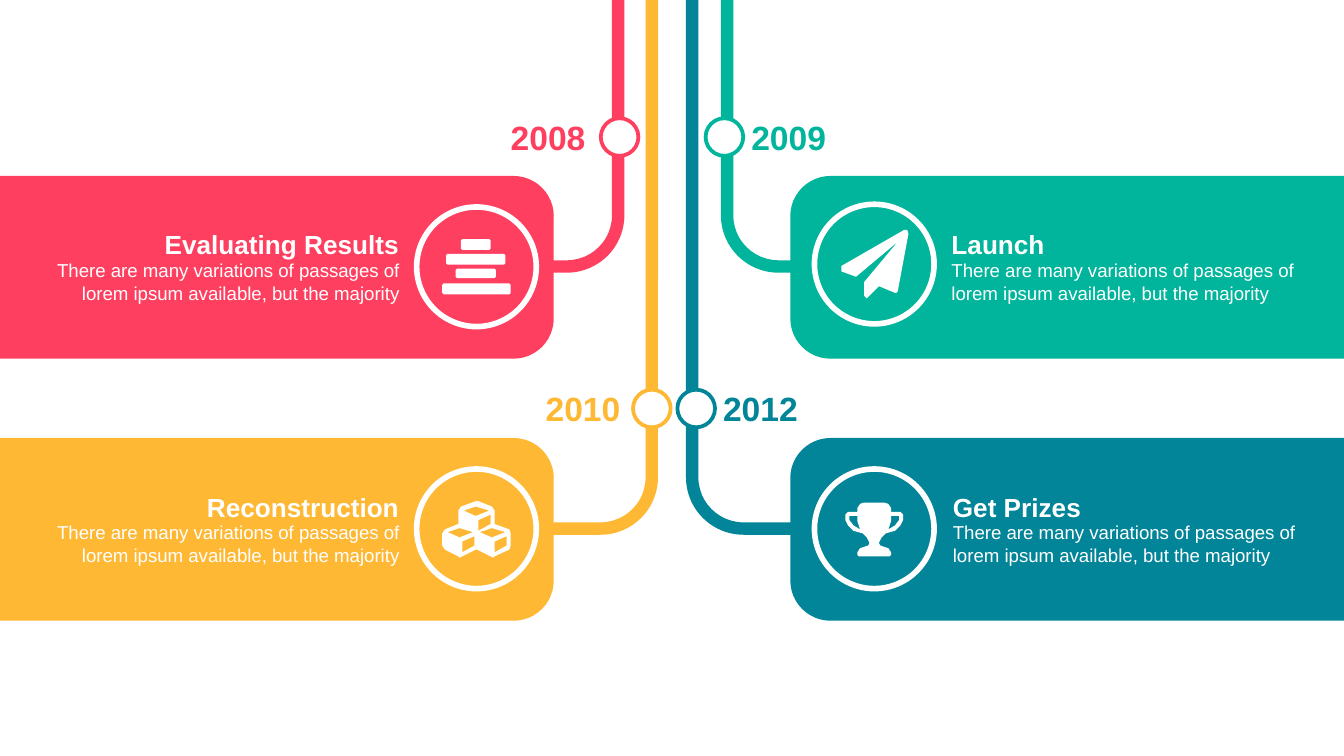
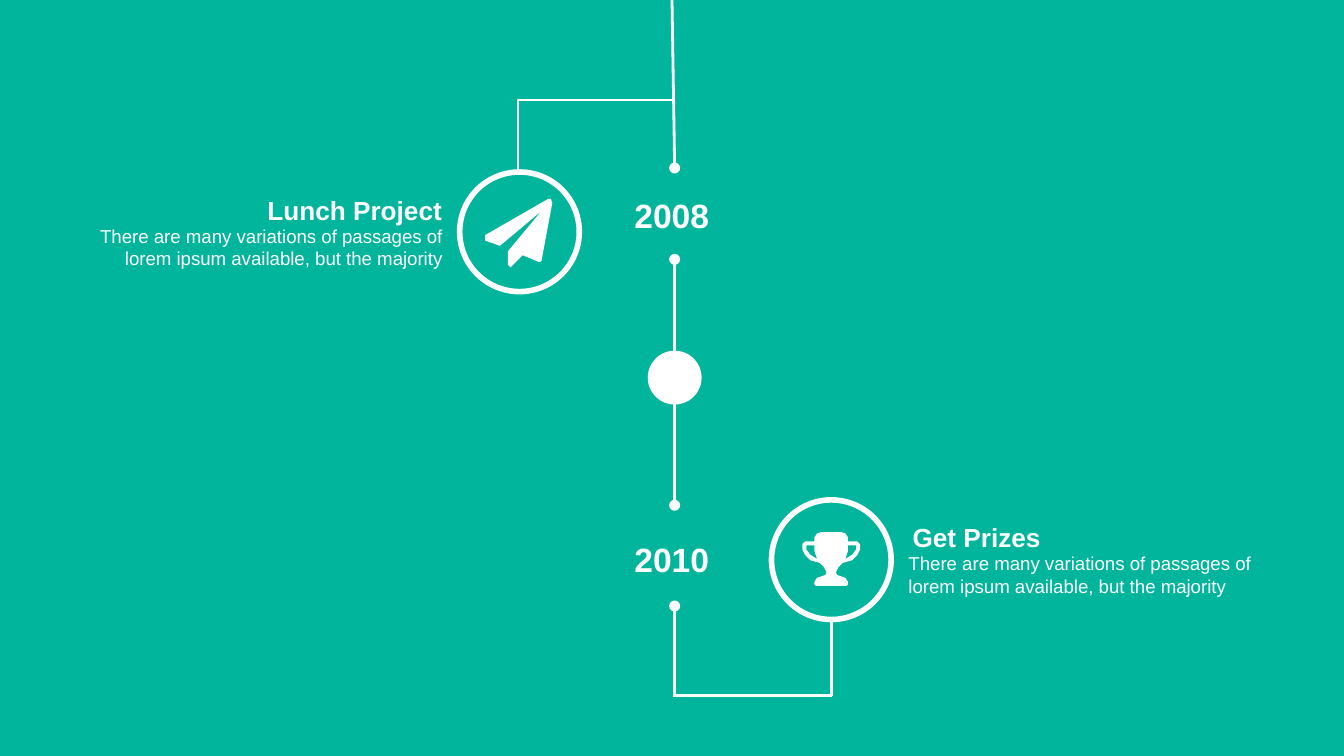
from lxml.etree import SubElement
from pptx import Presentation
from pptx.dml.color import RGBColor
from pptx.enum.shapes import MSO_CONNECTOR, MSO_SHAPE
from pptx.enum.text import MSO_ANCHOR, MSO_AUTO_SIZE, PP_ALIGN
from pptx.oxml.ns import qn
from pptx.util import Cm, Pt

RED = RGBColor(0xFF, 0x3F, 0x5F)
GREEN = RGBColor(0x01, 0xB5, 0x9C)
GOLD = RGBColor(0xFE, 0xB8, 0x34)
TEAL = RGBColor(0x02, 0x85, 0x99)
WHITE = RGBColor(0xFF, 0xFF, 0xFF)
FONT = "Arial"
WIDE, HIGH = Cm(25.4), Cm(14.29)
RING, DOT = 0.89, 0.28
BODY = ("There are many variations of passages of "
        "lorem ipsum available, but the majority")


def inch(num):
    return Cm(2.54 * num)


def put(frame, text, size=10, color=WHITE, bold=False, right=False,
        wrap=True, anchor=MSO_ANCHOR.TOP):
    frame.margin_left = frame.margin_right = Cm(0)
    frame.margin_top = frame.margin_bottom = Cm(0)
    frame.word_wrap = wrap
    frame.auto_size = MSO_AUTO_SIZE.SHAPE_TO_FIT_TEXT
    frame.vertical_anchor = anchor
    par = frame.paragraphs[0]
    par.alignment = PP_ALIGN.RIGHT if right else PP_ALIGN.LEFT
    run = par.add_run()
    run.text = text
    run.font.name, run.font.size = FONT, Pt(size)
    run.font.bold, run.font.color.rgb = bold, color


# Icon outlines, in hundredths of an inch
def bar(left, top, right, low):
    return [(left + 1, top), (right - 1, top), (right, top + 1),
            (right, low - 1), (right - 1, low), (left + 1, low),
            (left, low - 1), (left, top + 1)]


def shift(pts, dx, dy):
    return [(x + dx, y + dy) for x, y in pts]


def flip(pts, width=43):
    return [(width - x, y) for x, y in reversed(pts)]


BARS = [bar(0, 33, 51, 41), bar(3, 11, 47, 19),
        bar(10, 22, 40, 29), bar(14, 0, 36, 8)]
PLANE = [[(50, 3), (42, 46), (41, 47), (40, 47), (28, 42), (20, 50),
          (19, 51), (17, 49), (17, 39), (42, 9), (11, 35), (0, 31),
          (0, 27), (47, 0), (49, 0)]]
FACES = [[(23, 23), (13, 20), (4, 23), (13, 27)],
         [(24, 33), (24, 26), (15, 30), (15, 38)]]
CUBES = [[(51, 33), (50, 36), (39, 41), (38, 42), (36, 41), (26, 36),
          (25, 36), (15, 41), (13, 42), (12, 41), (2, 36), (0, 33),
          (0, 24), (2, 21), (12, 17), (12, 7), (14, 4), (25, 0),
          (27, 0), (37, 4), (39, 7), (39, 17), (50, 21), (51, 24)]]
CUBES += [shift(face, dx, dy) for dx, dy in ((0, 0), (24, 0), (12, -16))
          for face in FACES]
HALF = [(29, 0), (32, 1), (34, 4), (34, 7), (41, 7), (43, 9), (43, 13),
        (41, 17), (37, 21), (30, 23), (27, 26), (25, 30), (26, 32),
        (29, 33), (32, 34), (34, 37), (34, 39), (33, 40)]
GRIP = [(40, 10), (34, 10), (34, 14), (32, 20), (37, 17), (40, 13)]
CUP = [HALF + flip(HALF), GRIP, flip(GRIP)]


class Deck:
    def __init__(self):
        self.prs = Presentation()
        self.prs.slide_width, self.prs.slide_height = WIDE, HIGH
        self.slide = None

    def page(self):
        self.slide = self.prs.slides.add_slide(self.prs.slide_layouts[6])

    def paint(self, shape, fill, line=None, width=1):
        shape.shadow.inherit = False
        if fill is None:
            shape.fill.background()
        else:
            shape.fill.solid()
            shape.fill.fore_color.rgb = fill
        if line is None:
            shape.line.fill.background()
        else:
            shape.line.color.rgb = line
            shape.line.width = Pt(width)

    def mirror(self, shape, flips):
        xfrm = shape.element.spPr.find(qn("a:xfrm"))
        for axis in flips:
            xfrm.set("flip" + axis, "1")

    def shape(self, kind, box, fill, line=None, width=1, rot=0, flips="",
              adj=()):
        item = self.slide.shapes.add_shape(kind, *map(inch, box))
        self.paint(item, fill, line, width)
        item.rotation = rot
        self.mirror(item, flips)
        for num, val in enumerate(adj):
            item.adjustments[num] = val

    def disc(self, x, y, size, fill, line, width):
        self.shape(MSO_SHAPE.OVAL, (x, y, size, size), fill, line, width)

    def text(self, box, text, **form):
        frame = self.slide.shapes.add_textbox(*map(inch, box)).text_frame
        put(frame, text, **form)

    def year(self, x, y, text, color=WHITE):
        self.text((x, y, 0.56, 0.3), text, size=18, color=color, bold=True,
                  wrap=False, anchor=MSO_ANCHOR.MIDDLE)

    def note(self, x, y, head, width, right, inset=0):
        start = x + 2.76 - width if right else x
        self.text((start + inset, y, width, 0.24), head, size=14, bold=True,
                  right=right, wrap=False, anchor=MSO_ANCHOR.MIDDLE)
        self.text((x, y + 0.23, 2.76, 0.34), BODY, right=right)

    def icon(self, x, y, parts):
        first = parts[0][0]
        pen = self.slide.shapes.build_freeform(*first, scale=inch(0.01))
        for part in parts:
            if part is not parts[0]:
                pen.move_to(*part[0])
            pen.add_line_segments(part[1:], close=True)
        self.paint(pen.convert_to_shape(inch(x), inch(y)), WHITE)

    def wire(self, ends, kind=MSO_CONNECTOR.STRAIGHT, caps=()):
        item = self.slide.shapes.add_connector(kind, *map(inch, ends))
        item.line.color.rgb = WHITE
        item.line.width = Pt(1.5)
        props = item.element.spPr
        for cap in caps:
            SubElement(props.find(qn("a:ln")), qn("a:" + cap), type="oval")
        SubElement(props, qn("a:effectLst"))
        return item

    def elbow(self, x, y, flips):
        item = self.wire((x, y, x + 0.55, y + 1.16), MSO_CONNECTOR.ELBOW)
        props = item.element.spPr
        props.find(qn("a:prstGeom")).set("prst", "bentConnector2")
        props.find(qn("a:xfrm")).set("rot", str(90 * 60000))
        self.mirror(item, flips)

    def pipe(self, mid, length, color, left):
        self.shape(MSO_SHAPE.BENT_ARROW,
                   (mid - length / 2, length / 2 - 0.45, length, 0.84),
                   color, rot=270 if left else 90,
                   flips="V" if left else "HV",
                   adj=(0.11, 0.06, 0, 0.51))

    def band(self, y, color, left):
        self.shape(MSO_SHAPE.ROUND_2_SAME_RECTANGLE,
                   (1.38 if left else 7.26, y, 1.36, 4.12), color,
                   rot=90 if left else 270, flips="" if left else "H",
                   adj=(0.22, 0))


def roads(deck):
    deck.page()
    # year, colour, left side, row, pipe middle, dot x, year x, ring y,
    # text x, heading, heading width, icon, icon place
    stops = [
        ("2009", GREEN, False, 0, 5.78, 5.25, 5.59, 1.52,
         7.08, "Launch", 0.8, PLANE, (6.26, 1.71)),
        ("2010", GOLD, True, 1, 4.48, 4.71, 4.06, 3.49,
         0.21, "Reconstruction", 1.5, CUBES, (3.29, 3.73)),
        ("2012", TEAL, False, 1, 5.52, 5.04, 5.38, 3.49,
         7.09, "Get Prizes", 1, CUP, (6.29, 3.74)),
        ("2008", RED, True, 0, 4.23, 4.47, 3.8, 1.54,
         0.21, "Evaluating Results", 1.8, BARS, (3.29, 1.78)),
    ]
    for (year, color, left, row, mid, dot, label, ring,
         x, head, width, icon, place) in stops:
        deck.pipe(mid, (2.06, 4.01)[row], color, left)
        deck.band(-0.07 + 1.95 * row, color, left)
        deck.disc(3.1 if left else 6.06, ring, RING, color, WHITE, 3)
        deck.note(x, 1.7 + 1.95 * row, head, width, left)
        top = 0.87 + 2.02 * row
        deck.year(label, top, year, color)
        deck.disc(dot, top + 0.01, DOT, WHITE, color, 2)
        deck.icon(*place, icon)


def line(deck):
    deck.page()
    deck.shape(MSO_SHAPE.RECTANGLE, (0, 0, WIDE.inches, HIGH.inches), GREEN)
    # Centre line
    mid = 5.02
    deck.wire((mid, 4.51, mid, 5.19), caps=["headEnd"])
    deck.wire((mid, 2.81, mid, 3.76), caps=["headEnd", "tailEnd"])
    deck.wire((mid, 1.93, mid, 2.81), caps=["headEnd", "tailEnd"])
    deck.wire((5, 0, mid, 1.25), caps=["tailEnd"])
    deck.disc(4.83, 2.62, 0.38, WHITE, WHITE, 1.5)
    # Stops
    stops = [
        ("2008", 1.45, (3.42, 1.28), (0.53, 1.44, "Lunch Project", 1.4, True),
         (4.16, 0.44, "HV"), (3.61, 1.48, PLANE)),
        ("2010", 4.01, (5.74, 3.72),
         (6.76, 3.88, "Get Prizes", 1, False, 0.03),
         (5.33, 4.32, ""), (5.97, 3.96, CUP)),
    ]
    for year, top, ring, note, elbow, icon in stops:
        deck.year(4.72, top, year)
        deck.disc(*ring, RING, None, WHITE, 3)
        deck.note(*note)
        deck.elbow(*elbow)
        deck.icon(*icon)


def main():
    deck = Deck()
    roads(deck)
    line(deck)
    deck.prs.save("out.pptx")


if __name__ == "__main__":
    main()
